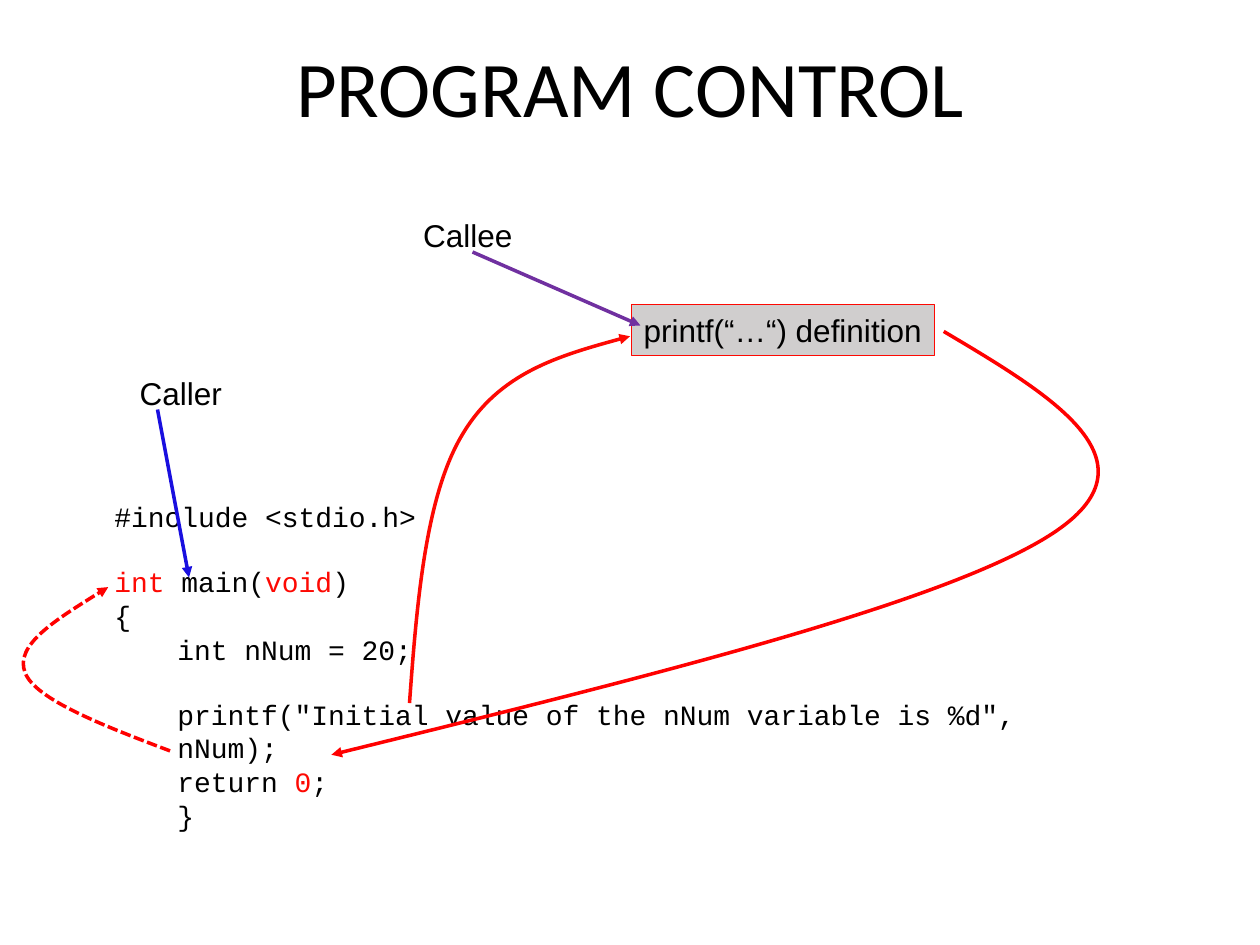
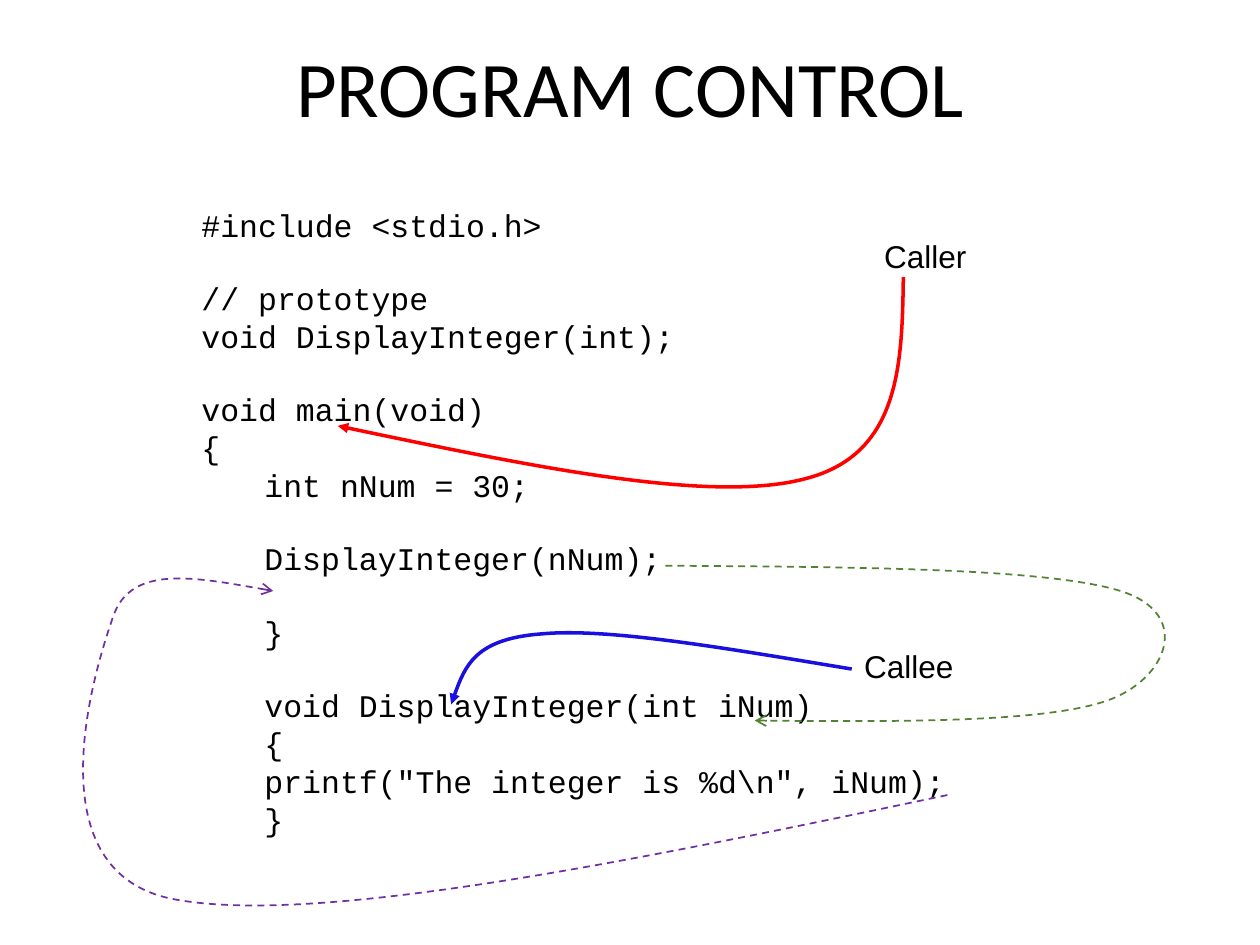
from pptx import Presentation
from pptx.dml.color import RGBColor
from pptx.enum.dml import MSO_LINE
from pptx.enum.shapes import MSO_CONNECTOR, MSO_SHAPE
from pptx.enum.text import MSO_ANCHOR, MSO_AUTO_SIZE, PP_ALIGN
from pptx.oxml.ns import qn
from pptx.oxml.xmlchemy import OxmlElement
from pptx.util import Pt

STRAIGHT = MSO_CONNECTOR.STRAIGHT
RECTANGLE = MSO_SHAPE.RECTANGLE
DASH, SHORT_DASH = MSO_LINE.DASH, MSO_LINE.SQUARE_DOT

COLORS = {
    "white": "FFFFFF", "black": "000000", "keyword": "FD0903", "red": "FF0000",
    "blue": "190FDF", "purple": "7030A0", "green": "548235", "gray": "D0CECE",
}
TITLE = "PROGRAM CONTROL"
TITLE_BOX = (54, 18, 612, 60.5)
CODE_INDENT = 36
LINE_HEIGHT = 1.133  # of the code font, per point of size

# A code line is (level, blank lines above, runs); a run is text or (text, color).
# A curve is a start point followed by groups of three Bezier points.
SLIDES = [
    {
        "code": {
            "box": (58.3, 282, 596, 180), "size": 16, "wrap": False,
            "lines": [
                (0, 0, ["#include <stdio.h>"]),
                (0, 1, [("int", "keyword"), " main(", ("void", "keyword"), ")"]),
                (0, 0, ["{"]),
                (1, 0, ["int nNum = 20;"]),
                (1, 1, ['printf("Initial value of the nNum variable is %d", nNum);']),
                (1, 0, ["return ", ("0", "keyword"), ";"]),
                (1, 0, ["}"]),
            ],
        },
        "labels": [("Caller", (72.7, 210, 61.2, 29)), ("Callee", (234.7, 120, 65.5, 29))],
        "definition": ("printf(“…“) definition", (360.7, 174, 173.5, 29)),
        "curves": [
            ([(234, 401.8), (238.3, 342.7), (243.4, 283), (264.2, 248.4),
              (285.1, 213.1), (322.6, 202.3), (360, 192.2)],
             {"color": "keyword"}),
            ([(539.3, 189.4), (601.2, 226.1), (662.4, 262.8), (604.1, 303.1),
              (545.8, 343.4), (367.9, 387.4), (189.4, 431.3)],
             {"color": "red"}),
            ([(97.2, 429.1), (59, 414.7), (20.2, 399.6), (14.4, 384.5),
              (7.9, 368.6), (35.3, 352.1), (61.9, 335.5)],
             {"color": "red", "dash": SHORT_DASH}),
        ],
        "arrows": [((90, 234), (108, 330), {"color": "blue"}),
                   ((270, 144), (366, 186), {"color": "purple"})],
    },
    {
        "code": {
            "box": (108, 114, 456, 396), "size": 18, "wrap": True,
            "lines": [
                (0, 0, ["#include <stdio.h>"]),
                (0, 1, ["// prototype"]),
                (0, 0, ["void DisplayInteger(int);"]),
                (0, 1, ["void main(void)"]),
                (0, 0, ["{"]),
                (1, 0, ["int nNum = 30;"]),
                (1, 1, ["DisplayInteger(nNum);"]),
                (1, 1, ["}"]),
                (1, 1, ["void DisplayInteger(int iNum)"]),
                (1, 0, ["{"]),
                (1, 0, [r'printf("The integer is %d\n", iNum);']),
                (1, 0, ["}"]),
            ],
        },
        "labels": [("Caller", (498.2, 132, 61.2, 29)), ("Callee", (486.7, 366, 65.5, 29))],
        "curves": [
            ([(516.2, 158.4), (515.5, 208.8), (514.1, 259.9), (460.1, 273.6),
              (406.1, 288), (299.5, 265.7), (193, 243.4)],
             {"color": "red"}),
            ([(486.7, 382.3), (416.9, 370.8), (347.8, 358.6), (309.6, 362.2),
              (271.4, 365), (264.2, 383.8), (257.8, 402.5)],
             {"color": "blue"}),
            ([(380.2, 323.3), (488.9, 324), (597.6, 324.7), (640.1, 337.7),
              (681.8, 350.6), (667.4, 388.1), (632.9, 400.3),
              (598.3, 412.6), (514.8, 412.6), (431.3, 411.8)],
             {"color": "green", "width": 1, "dash": DASH, "head": "arrow"}),
            ([(541.4, 454.3), (359.3, 492.5), (177.1, 529.9), (97.2, 513.4),
              (18, 496.1), (54.7, 380.9), (64.8, 352.1),
              (74.9, 322.6), (115.2, 330.5), (156.2, 337.7)],
             {"color": "purple", "width": 1, "dash": DASH, "head": "arrow"}),
        ],
    },
]


def rgb(name):
    return RGBColor.from_string(COLORS[name])


def points(values):
    return [Pt(value) for value in values]


def add_run(paragraph, text, font, size, color="black"):
    run = paragraph.add_run()
    run.text = text
    for name, value in {"name": font, "size": Pt(size)}.items():
        setattr(run.font, name, value)
    run.font.color.rgb = rgb(color)


def format_frame(shape, **values):
    for name, value in values.items():
        setattr(shape.text_frame, name, value)
    return shape.text_frame


def style_line(shape, color, width=2, dash=None, head="triangle"):
    """Color a line and put an arrowhead at its end."""
    shape.line.color.rgb = rgb(color)
    shape.line.width = Pt(width)
    if dash:
        shape.line.dash_style = dash
    tail = OxmlElement("a:tailEnd")
    tail.set("type", head)
    shape.line._get_or_add_ln().append(tail)


def add_title(slide):
    shape = slide.shapes.add_textbox(*points(TITLE_BOX))
    shape.fill.solid()
    shape.fill.fore_color.rgb = rgb("white")
    frame = format_frame(shape, word_wrap=True, vertical_anchor=MSO_ANCHOR.BOTTOM,
                         margin_bottom=Pt(1.8))
    paragraph = frame.paragraphs[0]
    paragraph.alignment = PP_ALIGN.CENTER
    paragraph.line_spacing = 0.9
    add_run(paragraph, TITLE, "Calibri", 45)


def add_code(slide, box, size, wrap, lines):
    shape = slide.shapes.add_textbox(*points(box))
    frame = format_frame(shape, word_wrap=wrap, auto_size=MSO_AUTO_SIZE.SHAPE_TO_FIT_TEXT)
    for index, (level, gap, runs) in enumerate(lines):
        paragraph = frame.add_paragraph() if index else frame.paragraphs[0]
        paragraph.level = level
        properties = paragraph._p.get_or_add_pPr()
        properties.set("marL", str(Pt(level * CODE_INDENT)))
        properties.set("indent", "0")
        if gap:
            paragraph.space_before = Pt(round(gap * size * LINE_HEIGHT, 1))
        for run in runs:
            text, color = (run, "black") if isinstance(run, str) else run
            add_run(paragraph, text, "Courier New", size, color)


def fill_label(shape, text):
    frame = format_frame(shape, word_wrap=False, auto_size=MSO_AUTO_SIZE.SHAPE_TO_FIT_TEXT,
                         vertical_anchor=MSO_ANCHOR.TOP)
    frame.paragraphs[0].alignment = PP_ALIGN.LEFT
    add_run(frame.paragraphs[0], text, "Arial", 18)


def add_definition(slide, text, box):
    shape = slide.shapes.add_shape(RECTANGLE, *points(box))
    shape.shadow.inherit = False
    shape.fill.solid()
    shape.fill.fore_color.rgb = rgb("gray")
    shape.line.color.rgb = rgb("keyword")
    shape.line.width = Pt(0.75)
    fill_label(shape, text)


def add_curve(slide, vertices, line):
    """Draw a freeform whose segments are merged by threes into Bezier curves."""
    start, *rest = [points(vertex) for vertex in vertices]
    builder = slide.shapes.build_freeform(*start)
    builder.add_line_segments(rest, close=False)
    shape = builder.convert_to_shape()
    segments = list(shape._element.iter(qn("a:lnTo")))
    for first in range(0, len(segments), 3):
        curve = OxmlElement("a:cubicBezTo")
        segments[first].addprevious(curve)
        for segment in segments[first:first + 3]:
            curve.append(segment[0])
            segment.getparent().remove(segment)
    shape.shadow.inherit = False
    shape.fill.background()
    style_line(shape, **line)


def add_arrow(slide, start, end, line):
    connector = slide.shapes.add_connector(STRAIGHT, *points(start + end))
    style_line(connector, **line)
    connector._element.spPr.append(OxmlElement("a:effectLst"))


def main():
    presentation = Presentation()
    presentation.slide_width, presentation.slide_height = Pt(720), Pt(540)
    for content in SLIDES:
        slide = presentation.slides.add_slide(presentation.slide_layouts[6])
        add_title(slide)
        add_code(slide, **content["code"])
        if "definition" in content:
            add_definition(slide, *content["definition"])
        for text, box in content["labels"]:
            fill_label(slide.shapes.add_textbox(*points(box)), text)
        for curve in content["curves"]:
            add_curve(slide, *curve)
        for arrow in content.get("arrows", []):
            add_arrow(slide, *arrow)
    presentation.save("out.pptx")


if __name__ == "__main__":
    main()
